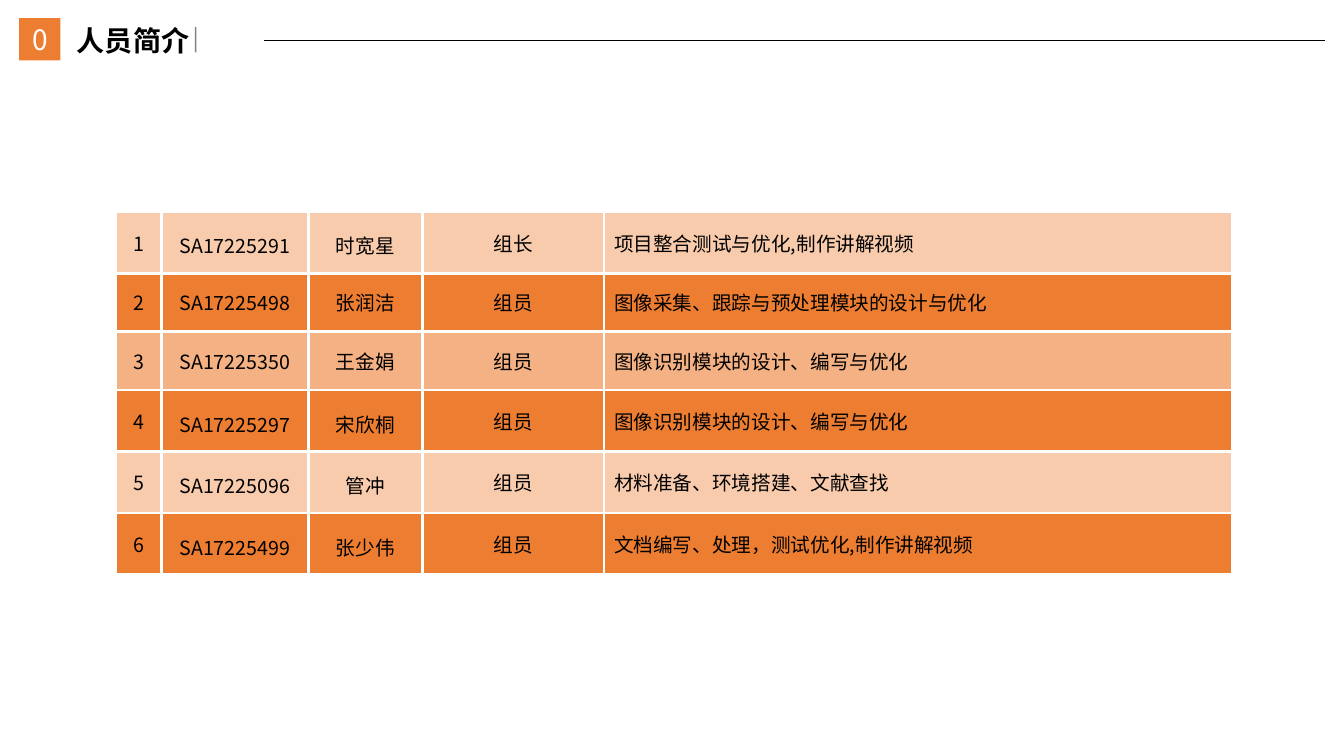
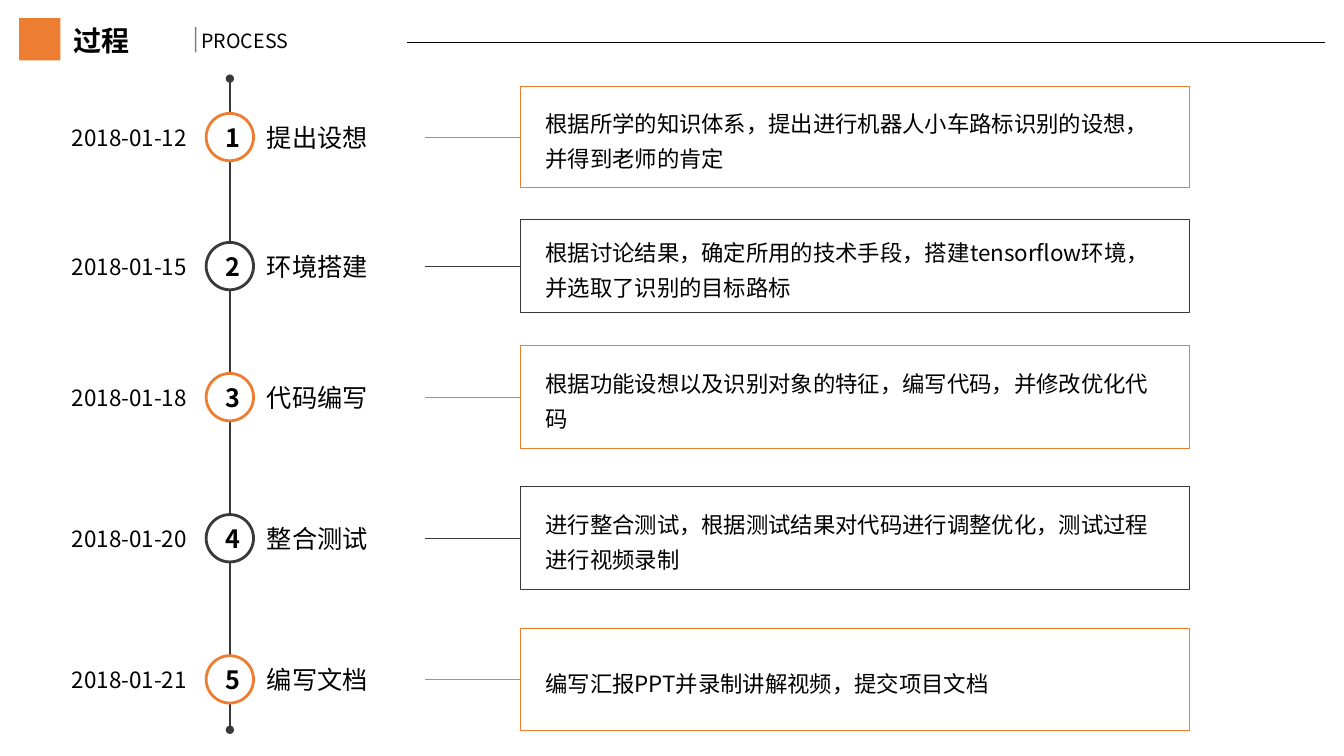
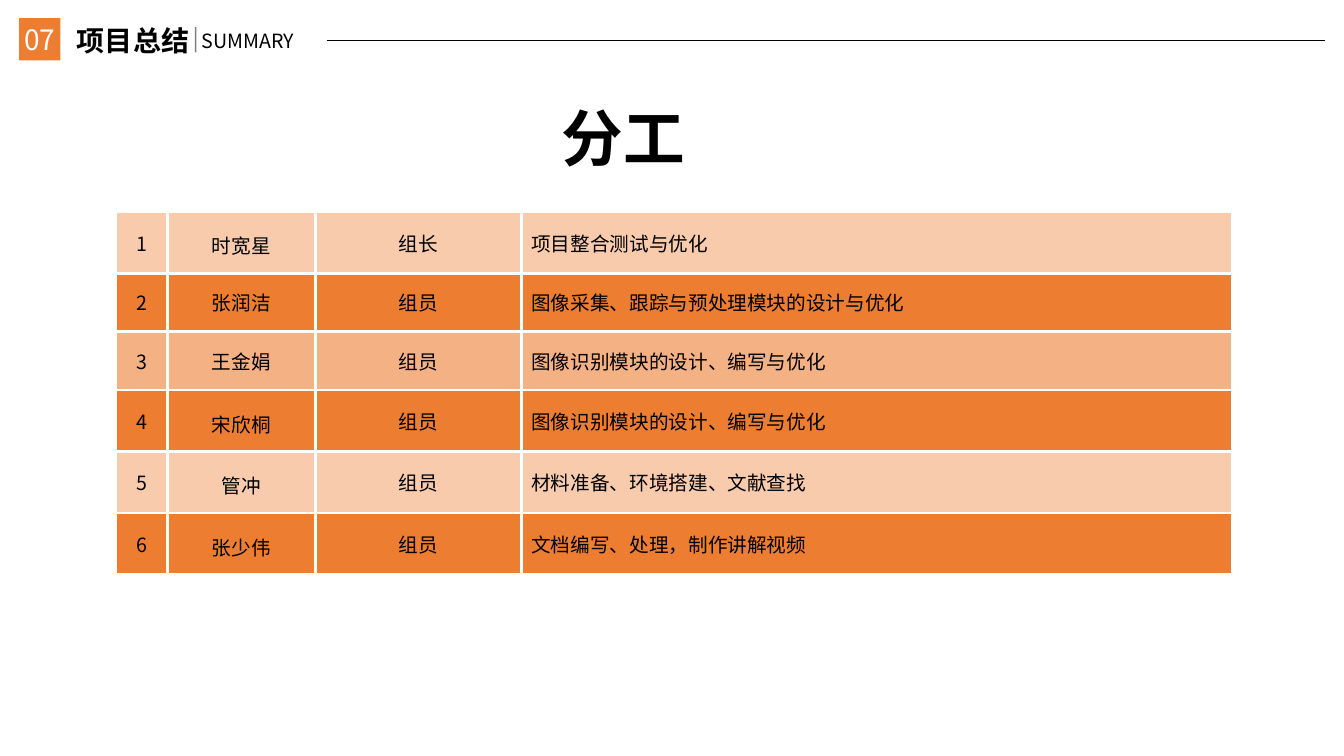
from lxml import etree
from pptx import Presentation
from pptx.dml.color import RGBColor
from pptx.enum.shapes import MSO_CONNECTOR, MSO_SHAPE
from pptx.enum.text import MSO_ANCHOR, PP_ALIGN
from pptx.oxml.ns import qn
from pptx.util import Inches, Pt

LEFT, CENTER, RIGHT = PP_ALIGN.LEFT, PP_ALIGN.CENTER, PP_ALIGN.RIGHT
MIDDLE = MSO_ANCHOR.MIDDLE
STRAIGHT = MSO_CONNECTOR.STRAIGHT
RECTANGLE, OVAL = MSO_SHAPE.RECTANGLE, MSO_SHAPE.OVAL

FONT = "Noto Sans CJK SC"
COLORS = {
    "black": "000000",
    "white": "FFFFFF",
    "orange": "ED7D31",
    "peach": "F8CBAD",
    "apricot": "F4B183",
    "charcoal": "3B3838",
}
TITLE_ONLY = 5
TEXT_INSETS = (0.1, 0.05, 0.1, 0.05)
TABLE_LEFT, TABLE_TOP = 1.15, 2.1
ROW_FILLS = ["peach", "orange", "apricot", "orange", "peach", "orange"]
SPACED_ROWS = {0, 3, 4, 5}
SPINE_X = 2.28
CIRCLE_SIZE = 0.47
BOX_LEFT, BOX_WIDTH = 5.16, 6.64

MEMBERS = [
    ("1", "SA17225291", "时宽星", "组长", "项目整合测试与优化,制作讲解视频"),
    ("2", "SA17225498", "张润洁", "组员", "图像采集、跟踪与预处理模块的设计与优化"),
    ("3", "SA17225350", "王金娟", "组员", "图像识别模块的设计、编写与优化"),
    ("4", "SA17225297", "宋欣桐", "组员", "图像识别模块的设计、编写与优化"),
    ("5", "SA17225096", "管冲", "组员", "材料准备、环境搭建、文献查找"),
    ("6", "SA17225499", "张少伟", "组员", "文档编写、处理，测试优化,制作讲解视频"),
]
SUMMARY_TASKS = {"1": "项目整合测试与优化", "6": "文档编写、处理，制作讲解视频"}

STEPS = [
    ("2018-01-12", "提出设想", 0.86, 1.0,
     "根据所学的知识体系，提出进行机器人小车路标识别的设想，并得到老师的肯定"),
    ("2018-01-15", "环境搭建", 2.18, 0.92,
     "根据讨论结果，确定所用的技术手段，搭建tensorflow环境，并选取了识别的目标路标"),
    ("2018-01-18", "代码编写", 3.43, 1.02,
     "根据功能设想以及识别对象的特征，编写代码，并修改优化代码"),
    ("2018-01-20", "整合测试", 4.83, 1.02,
     "进行整合测试，根据测试结果对代码进行调整优化，测试过程进行视频录制"),
    ("2018-01-21", "编写文档", 6.23, 1.02,
     "编写汇报PPT并录制讲解视频，提交项目文档"),
]


def color(name):
    return RGBColor.from_string(COLORS[name])


def write_text(frame, text, size=14, ink="black", bold=False, align=LEFT, spacing=None):
    para = frame.paragraphs[0]
    para.alignment = align
    if spacing:
        para.line_spacing = spacing
    span = para.add_run()
    span.text = text
    font = span.font
    font.name, font.size, font.bold = FONT, Pt(size), bold
    font.color.rgb = color(ink)
    east_asian = etree.SubElement(span._r.get_or_add_rPr(), qn("a:ea"))
    east_asian.set("typeface", FONT)


def set_frame(frame, insets=TEXT_INSETS, wrap=True):
    frame.word_wrap = wrap
    frame.vertical_anchor = MIDDLE
    (frame.margin_left, frame.margin_top,
     frame.margin_right, frame.margin_bottom) = map(Inches, insets)


def add_text(page, text, left, top, width, height, wrap=True, **style):
    box = page.shapes.add_textbox(*map(Inches, (left, top, width, height)))
    set_frame(box.text_frame, wrap=wrap)
    write_text(box.text_frame, text, **style)


def add_box(page, kind, left, top, width, height, fill=None, line=None, weight=0.5):
    box = page.shapes.add_shape(kind, *map(Inches, (left, top, width, height)))
    box.shadow.inherit = False
    if fill:
        box.fill.solid()
        box.fill.fore_color.rgb = color(fill)
    else:
        box.fill.background()
    if line:
        box.line.color.rgb = color(line)
        box.line.width = Pt(weight)
    else:
        box.line.fill.background()
    return box


def add_line(page, start, end, ink="black", weight=0.5, opacity=None, dots=False):
    line = page.shapes.add_connector(STRAIGHT, *map(Inches, start + end))
    line.line.color.rgb = color(ink)
    line.line.width = Pt(weight)
    properties = line._element.spPr
    outline = properties.find(qn("a:ln"))
    if opacity:
        alpha = etree.SubElement(outline.find(".//" + qn("a:srgbClr")), qn("a:alpha"))
        alpha.set("val", str(opacity * 1000))
    if dots:
        for tag in ("a:headEnd", "a:tailEnd"):
            etree.SubElement(outline, qn(tag)).set("type", "oval")
    etree.SubElement(properties, qn("a:effectLst"))
    return line


def add_page(deck, title, number="", subtitle="", rule_start=(2.62, 0.4), align=CENTER):
    page = deck.slides.add_slide(deck.slide_layouts[TITLE_ONLY])
    heading = page.shapes.title
    heading.left, heading.top, heading.width, heading.height = map(
        Inches, (0.63, 0.18, 1.38, 0.44))
    set_frame(heading.text_frame)
    write_text(heading.text_frame, title, size=20, bold=True, align=align)
    badge = add_box(page, RECTANGLE, 0.19, 0.18, 0.41, 0.42, fill="orange")
    if number:
        set_frame(badge.text_frame, insets=(0, 0, 0, 0), wrap=False)
        write_text(badge.text_frame, number, size=20, ink="white", align=CENTER)
    if subtitle:
        add_text(page, subtitle, 1.9, 0.23, 1.23, 0.34, wrap=False)
    add_line(page, rule_start, (13.14, rule_start[1]))
    add_line(page, (1.94, 0.27), (1.94, 0.52), weight=1, opacity=49)
    return page


def add_borders(cell):
    properties = cell._tc.get_or_add_tcPr()
    for index, tag in enumerate(("a:lnL", "a:lnR", "a:lnT", "a:lnB")):
        border = etree.Element(qn(tag), w=str(Pt(2.25)))
        fill = etree.SubElement(border, qn("a:solidFill"))
        etree.SubElement(fill, qn("a:srgbClr")).set("val", COLORS["white"])
        properties.insert(index, border)


def add_member_table(page, rows, widths):
    heights = [0.61 if index in SPACED_ROWS else 0.58 for index in range(len(rows))]
    table = page.shapes.add_table(
        len(rows), len(widths),
        *map(Inches, (TABLE_LEFT, TABLE_TOP, sum(widths), sum(heights)))).table
    table.first_row = table.horz_banding = False
    for column, width in zip(table.columns, widths):
        column.width = Inches(width)
    role_column = len(widths) - 2
    for row_index, values in enumerate(rows):
        table.rows[row_index].height = Inches(heights[row_index])
        for column_index, value in enumerate(values):
            cell = table.cell(row_index, column_index)
            cell.vertical_anchor = MIDDLE
            cell.fill.solid()
            cell.fill.fore_color.rgb = color(ROW_FILLS[row_index])
            add_borders(cell)
            spaced = row_index in SPACED_ROWS and 0 < column_index < role_column
            write_text(cell.text_frame, value,
                       align=CENTER if column_index <= role_column else LEFT,
                       spacing=1.2 if spaced else None)


def add_step(page, number, date, label, top, height, description):
    accent = "orange" if number % 2 else "charcoal"
    middle = top + height / 2
    circle = add_box(page, OVAL, SPINE_X - CIRCLE_SIZE / 2, middle - CIRCLE_SIZE / 2,
                     CIRCLE_SIZE, CIRCLE_SIZE, fill="white", line=accent, weight=2)
    set_frame(circle.text_frame, insets=(0.12, 0.05, 0.1, 0.05))
    write_text(circle.text_frame, str(number), size=18, bold=True, align=CENTER)
    add_text(page, date, 0.5, middle - 0.18, 1.45, 0.37, wrap=False, size=16, align=RIGHT)
    add_text(page, label, 2.55, middle - 0.2, 2.07, 0.4, size=18)
    box = add_box(page, RECTANGLE, BOX_LEFT, top, BOX_WIDTH, height, line=accent)
    set_frame(box.text_frame, insets=(0.25, 0.05, 0.26, 0.05))
    write_text(box.text_frame, description, size=16, spacing=1.3)
    link = add_line(page, (4.22, middle), (BOX_LEFT, middle), ink=accent)
    link.end_connect(box, 1)


def build_people(deck):
    page = add_page(deck, "人员简介", number="0")
    add_member_table(page, MEMBERS, [0.45, 1.46, 1.13, 1.8, 6.23])


def build_process(deck):
    page = add_page(deck, "过程", subtitle="PROCESS", rule_start=(4.04, 0.42), align=LEFT)
    add_line(page, (SPINE_X, 0.78), (SPINE_X, 7.24), ink="charcoal", weight=1.5, dots=True)
    for number, step in enumerate(STEPS, start=1):
        add_step(page, number, *step)


def build_summary(deck):
    page = add_page(deck, "项目总结", number="07", subtitle="SUMMARY", rule_start=(3.24, 0.4))
    add_text(page, "分工", 5.47, 0.94, 1.53, 0.84, size=44, bold=True)
    rows = [(number, name, role, SUMMARY_TASKS.get(number, task))
            for number, _, name, role, task in MEMBERS]
    add_member_table(page, rows, [0.51, 1.47, 2.04, 7.05])


def main():
    deck = Presentation()
    deck.slide_width, deck.slide_height = Inches(13.33), Inches(7.5)
    build_people(deck)
    build_process(deck)
    build_summary(deck)
    deck.save("out.pptx")


if __name__ == "__main__":
    main()
